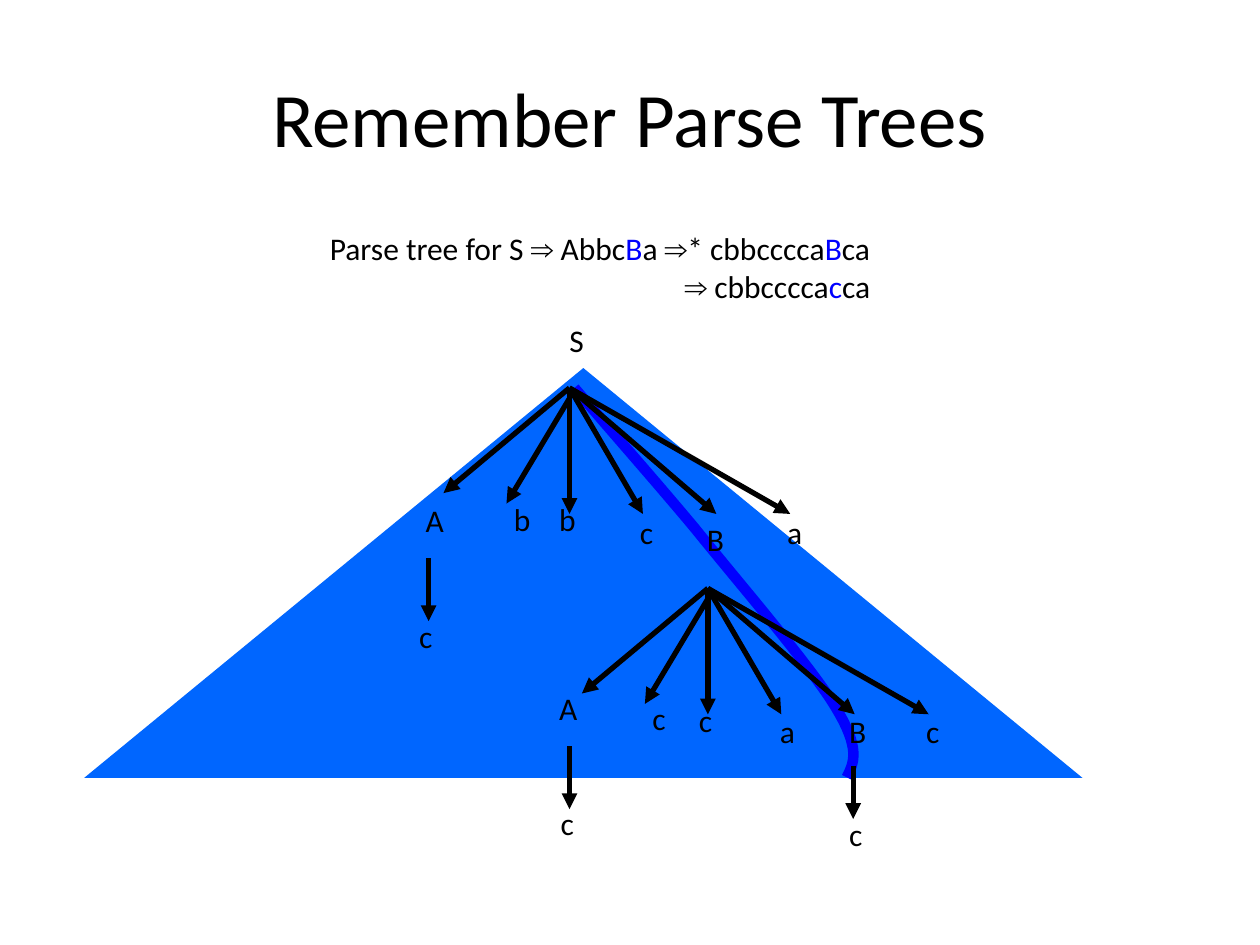
from lxml.etree import SubElement
from pptx import Presentation
from pptx.dml.color import RGBColor
from pptx.enum.shapes import MSO_CONNECTOR, MSO_SHAPE
from pptx.enum.text import MSO_ANCHOR, PP_ALIGN
from pptx.oxml.ns import qn
from pptx.util import Cm, Pt

# Content: all lengths are in centimetres
TITLE = "Remember Parse Trees"
# Each line: left indent, then text pieces with their style
STEPS = [
    (0, [("Parse tree for S ", "body"), ("⇒", "sign"), (" Abbc", "body"),
         ("B", "mark"), ("a ", "body"), ("⇒", "sign"), ("* cbbcccca", "body"),
         ("B", "mark"), ("ca", "body")]),
    (7.15, [("⇒", "sign"), (" cbbcccca", "body"), ("c", "mark"), ("ca", "body")]),
]
# Node letters with left and top
NODES = [
    ("S", 11.23, 6.35),
    ("A", 8.33, 9.98), ("b", 10.11, 9.96), ("b", 11.02, 9.96),
    ("c", 12.65, 10.21), ("B", 14, 10.36), ("a", 15.62, 10.21),
    ("c", 8.2, 12.32),
    ("A", 11.02, 13.77), ("c", 12.9, 13.97), ("c", 13.84, 14),
    ("a", 15.47, 14.22), ("B", 16.87, 14.22), ("c", 18.42, 14.22),
    ("c", 11.05, 16.08), ("c", 16.87, 16.31),
]
WIDTH = {"S": 0.79, "A": 0.86, "B": 0.84, "a": 0.81, "b": 0.84, "c": 0.76}
# Where each fan of six arrows begins, and its arrows relative to that point
ROOTS = [(11.48, 7.82), (14.27, 11.86)]
FAN = [(0, 0, -2.54, 2.12), (0, 0.21, -1.27, 2.33), (0, 0, 0, 2.54),
       (0, 0, 1.48, 2.54), (0, 0, 2.96, 2.54), (0, 0, 4.45, 2.54)]
# Single arrows: x, top, bottom
DROPS = [(8.64, 11.25, 12.52), (11.48, 15.04, 16.31), (17.2, 15.44, 16.51)]
# Path from S down to the last c: start, then control, control, end
START = (11.58, 7.82)
CURVE = [((12.34, 8.71), (13.11, 9.58), (14, 10.64)),
         ((14.86, 11.71), (16.33, 13.41), (16.84, 14.25)),
         ((17.35, 15.09), (17.22, 15.37), (17.07, 15.67))]

THEME = {
    "black": RGBColor(0, 0, 0), "blue": RGBColor(0, 0, 255),
    "fill": RGBColor(0, 0x66, 0xFF),
    "font": "Calibri", "symbol": "Arial",
    "title": 44, "text": 18, "arrow": 3, "path": 6,
}
STYLES = {
    "body": (THEME["font"], THEME["black"]),
    "mark": (THEME["font"], THEME["blue"]),
    "sign": (THEME["symbol"], THEME["black"]),
}


def style(run, kind="body", size=THEME["text"]):
    run.font.name, run.font.color.rgb = STYLES[kind]
    run.font.size = Pt(size)


def add_box(slide, x, y, w, h, wrap=True):
    frame = slide.shapes.add_textbox(Cm(x), Cm(y), Cm(w), Cm(h)).text_frame
    frame.word_wrap = wrap
    return frame


def add_title(slide):
    frame = add_box(slide, 1.27, 0.76, 22.86, 3.18)
    frame.vertical_anchor = MSO_ANCHOR.MIDDLE
    frame.text = TITLE
    frame.paragraphs[0].alignment = PP_ALIGN.CENTER
    style(frame.paragraphs[0].runs[0], size=THEME["title"])


def add_steps(slide):
    frame = add_box(slide, 6.4, 4.5, 11.68, 1.78)
    for i, (indent, parts) in enumerate(STEPS):
        para = frame.add_paragraph() if i else frame.paragraphs[0]
        para._p.get_or_add_pPr().set("marL", str(Cm(indent)))
        for text, kind in parts:
            run = para.add_run()
            run.text = text
            style(run, kind)


def add_node(slide, text, x, y):
    frame = add_box(slide, x, y, WIDTH[text], 1.02, wrap=False)
    frame.text = text
    style(frame.paragraphs[0].runs[0])


def add_arrow(slide, x1, y1, x2, y2):
    line = slide.shapes.add_connector(
        MSO_CONNECTOR.STRAIGHT, Cm(x1), Cm(y1), Cm(x2), Cm(y2))
    line.line.color.rgb = THEME["black"]
    line.line.width = Pt(THEME["arrow"])
    SubElement(line.line._get_or_add_ln(), qn("a:tailEnd"), type="triangle")
    SubElement(line._element.spPr, qn("a:effectLst"))


def bend(p, a, b, q, count=16):
    """Points along a cubic curve from p to q, leaving out p."""
    for i in range(1, count + 1):
        t = i / count
        u = 1 - t
        yield tuple(Cm(u**3 * p[k] + 3 * u * u * t * a[k]
                       + 3 * u * t * t * b[k] + t**3 * q[k]) for k in (0, 1))


def add_path(slide):
    points, last = [], START
    for a, b, end in CURVE:
        points += bend(last, a, b, end)
        last = end
    form = slide.shapes.build_freeform(Cm(START[0]), Cm(START[1]))
    form.add_line_segments(points, close=False)
    path = form.convert_to_shape()
    path.shadow.inherit = False
    path.fill.background()
    path.line.color.rgb = THEME["blue"]
    path.line.width = Pt(THEME["path"])


def main():
    deck = Presentation()
    deck.slide_width, deck.slide_height = Cm(25.4), Cm(19.05)
    slide = deck.slides.add_slide(deck.slide_layouts[6])

    # Large triangle behind the tree
    tree = slide.shapes.add_shape(
        MSO_SHAPE.FLOWCHART_EXTRACT, Cm(1.7), Cm(7.42), Cm(20.12), Cm(8.26))
    tree.shadow.inherit = False
    tree.fill.solid()
    tree.fill.fore_color.rgb = THEME["fill"]
    tree.line.fill.background()

    # Heading, derivation and highlighted path
    add_title(slide)
    add_steps(slide)
    add_path(slide)

    # Tree arrows and letters
    for x, y in ROOTS:
        for x1, y1, x2, y2 in FAN:
            add_arrow(slide, x + x1, y + y1, x + x2, y + y2)
    for x, top, end in DROPS:
        add_arrow(slide, x, top, x, end)
    for node in NODES:
        add_node(slide, *node)

    deck.save("out.pptx")


if __name__ == "__main__":
    main()
